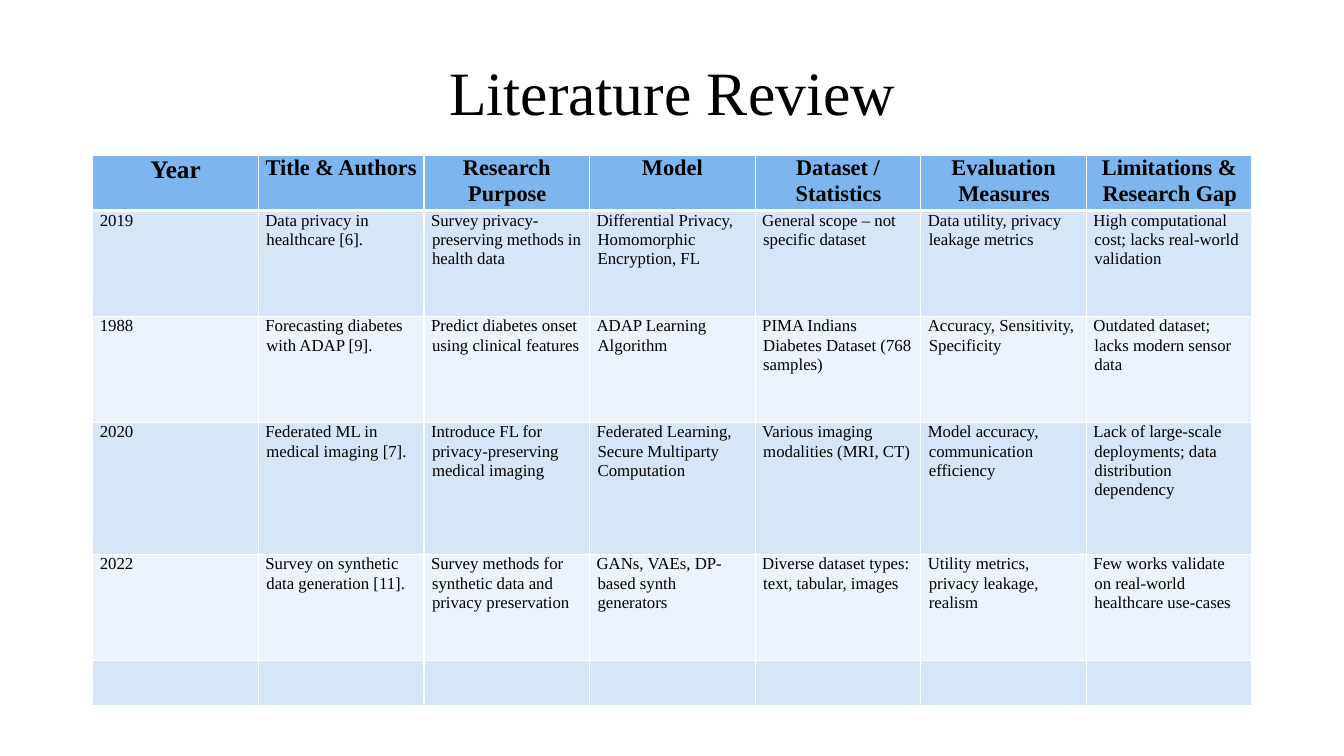
from lxml.etree import SubElement
from pptx import Presentation
from pptx.dml.color import RGBColor
from pptx.enum.text import MSO_ANCHOR, PP_ALIGN
from pptx.oxml.ns import qn
from pptx.util import Inches, Pt

# Content
TITLE = "Literature Review"
HEADERS = ["Year", "Title & Authors", "Research Purpose", "Model",
           "Dataset / Statistics", "Evaluation Measures",
           "Limitations & Research Gap"]
STUDIES = [
    ["2019", "Data privacy in healthcare [6].",
     "Survey privacy-preserving methods in health data",
     "Differential Privacy, Homomorphic Encryption, FL",
     "General scope – not specific dataset",
     "Data utility, privacy leakage metrics",
     "High computational cost; lacks real-world validation"],
    ["1988", "Forecasting diabetes with ADAP [9].",
     "Predict diabetes onset using clinical features",
     "ADAP Learning Algorithm",
     "PIMA Indians Diabetes Dataset (768 samples)",
     "Accuracy, Sensitivity, Specificity",
     "Outdated dataset; lacks modern sensor data"],
    ["2020", "Federated ML in medical imaging [7].",
     "Introduce FL for privacy-preserving medical imaging",
     "Federated Learning, Secure Multiparty Computation",
     "Various imaging modalities (MRI, CT)",
     "Model accuracy, communication efficiency",
     "Lack of large-scale deployments; data distribution dependency"],
    ["2022", "Survey on synthetic data generation [11].",
     "Survey methods for synthetic data and privacy preservation",
     "GANs, VAEs, DP-based synth generators",
     "Diverse dataset types: text, tabular, images",
     "Utility metrics, privacy leakage, realism",
     "Few works validate on real-world healthcare use-cases"],
]
ROWS = [HEADERS, *STUDIES, [""] * len(HEADERS)]
ROW_HEIGHTS = [0.52, 1.05, 1.05, 1.31, 1.05, 0.45]

# Style
FONT = "Times New Roman"
BLACK = RGBColor(0x00, 0x00, 0x00)
WHITE = RGBColor(0xFF, 0xFF, 0xFF)
HEADER_BLUE = RGBColor(0x7D, 0xB6, 0xEF)
BAND_BLUE = RGBColor(0xD7, 0xE5, 0xF9)
BAND_PALE = RGBColor(0xEC, 0xF3, 0xFC)
LEFT, WIDTH = Inches(0.92), Inches(11.5)


def format_run(run, size, bold=False):
    run.font.name = FONT
    run.font.size = Pt(size)
    run.font.bold = bold
    run.font.color.rgb = BLACK


def add_borders(cell, bottom_width):
    properties = cell._tc.get_or_add_tcPr()
    for side, width in (("L", 1), ("R", 1), ("T", 1), ("B", bottom_width)):
        line = SubElement(properties, qn(f"a:ln{side}"), w=str(Pt(width)))
        fill = SubElement(line, qn("a:solidFill"))
        SubElement(fill, qn("a:srgbClr"), val=str(WHITE))


def fill_cell(cell, text, row, column):
    is_header = row == 0
    # The header's thick bottom edge is shared with the row below, whose
    # own top edge is left thin.
    add_borders(cell, 3 if is_header else 1)
    cell.fill.solid()
    band = BAND_BLUE if row % 2 else BAND_PALE
    cell.fill.fore_color.rgb = HEADER_BLUE if is_header else band
    if not text:
        return
    cell.margin_left = cell.margin_right = Inches(0.07)
    cell.margin_top = cell.margin_bottom = 0
    cell.text_frame.text = text
    paragraph = cell.text_frame.paragraphs[0]
    paragraph.line_spacing = 1.03
    paragraph.alignment = PP_ALIGN.CENTER if is_header else PP_ALIGN.LEFT
    paragraph_properties = paragraph._p.get_or_add_pPr()
    paragraph_properties.set("marL", str(Inches(0.01)))
    paragraph_properties.set("indent", str(Inches(-0.01)))
    header_size = 18 if column == 0 else 16
    format_run(paragraph.runs[0], header_size if is_header else 12, is_header)


def main():
    presentation = Presentation()
    presentation.slide_width = Inches(13.33)
    presentation.slide_height = Inches(7.5)
    slide = presentation.slides.add_slide(presentation.slide_layouts[6])

    # Title
    title = slide.shapes.add_textbox(LEFT, Inches(0.4), WIDTH, Inches(1))
    title.text_frame.word_wrap = True
    title.text_frame.vertical_anchor = MSO_ANCHOR.MIDDLE
    title.text_frame.text = TITLE
    paragraph = title.text_frame.paragraphs[0]
    paragraph.alignment = PP_ALIGN.CENTER
    format_run(paragraph.runs[0], 44)

    # Table of studies
    table = slide.shapes.add_table(
        len(ROWS), len(HEADERS), LEFT, Inches(1.54), WIDTH,
        Inches(sum(ROW_HEIGHTS))).table
    for row, (height, texts) in enumerate(zip(ROW_HEIGHTS, ROWS)):
        table.rows[row].height = Inches(height)
        for column, text in enumerate(texts):
            fill_cell(table.cell(row, column), text, row, column)

    presentation.save("out.pptx")


if __name__ == "__main__":
    main()
